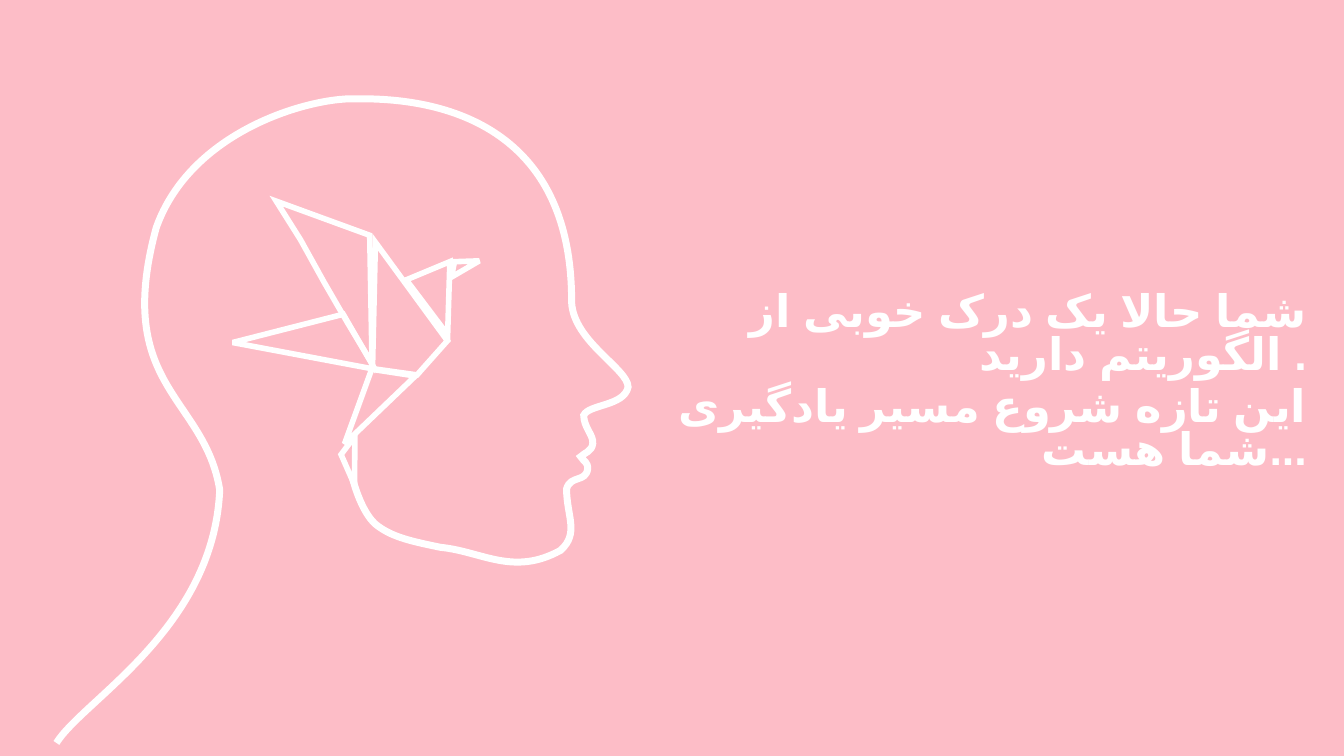
from dataclasses import dataclass
from math import cos, radians, sin

from lxml.etree import SubElement
from pptx import Presentation
from pptx.dml.color import RGBColor as Rgb
from pptx.enum.lang import MSO_LANGUAGE_ID as Language
from pptx.enum.text import MSO_ANCHOR as Anchor, PP_ALIGN as Align
from pptx.oxml.ns import qn
from pptx.util import Inches, Pt

# Slide grid: 1333 columns by 750 rows of square cells
CELL = Inches(0.01)
COLUMNS, ROWS = 1333, 750


@dataclass(frozen=True)
class Theme:
    pink: Rgb = Rgb(0xFD, 0xBD, 0xC7)
    white: Rgb = Rgb(0xFF, 0xFF, 0xFF)
    font: str = "Arial"
    message_size: Pt = Pt(32)
    message_gap: Pt = Pt(6.4)
    bird_stroke: Pt = Pt(4)
    head_stroke: Pt = Pt(5)


THEME = Theme()

# Boxes: left column, top row, columns, rows
HEAD_BOX = (56, 98, 567, 640)
BIRD_BOX = (231, 200, 245, 281)
MESSAGE_BOX = (627, 293, 679, 175)

# Head outline: a start, then two controls and an end for each curve
HEAD_START = (294, 377)
HEAD_CURVES = [
    ((294, 378), (303, 413), (319, 424)),    # jaw
    ((334, 435), (352, 439), (381, 445)),
    ((422, 449), (453, 474), (500, 448)),    # chin
    ((519, 431), (506, 414), (506, 387)),
    ((510, 373), (525, 381), (527, 367)),    # lips
    ((527, 360), (523, 360), (520, 355)),
    ((524, 351), (531, 350), (532, 342)),
    ((533, 334), (523, 326), (523, 314)),
    ((528, 303), (563, 305), (567, 286)),    # nose
    ((567, 268), (513, 241), (511, 202)),
    ((512, -3), (334, 0), (296, 0)),         # forehead
    ((250, -1), (133, 32), (99, 128)),       # crown
    ((56, 286), (147, 295), (162, 388)),     # nape
    ((156, 526), (27, 596), (0, 639)),       # back
]

# Folds of the paper bird, from back to front: tilt in degrees, corners
BIRD_FOLDS = [
    (322.2, [(121, 233), (120, 281), (107, 251)]),             # tail tip
    (325.7, [(111, 240), (138, 166), (181, 173)]),             # tail
    (331.6, [(220, 59), (245, 59), (217, 75)]),                # beak
    (326.3, [(172, 78), (215, 60), (213, 132)]),               # neck
    (320, [(0, 140), (109, 112), (141, 166)]),                 # lower wing
    (325.7, [(183, 172), (213, 138), (141, 40), (139, 166)]),  # body
    (323.9, [(136, 33), (43, 0), (67, 38), (91, 80), (114, 121), (138, 160)]),  # upper wing
]

MESSAGE = [
    "شما حالا یک درک خوبی از الگوریتم دارید .",
    "این تازه شروع مسیر یادگیری شما هست...",
]


def draw_outline(slide, box, points, stroke, close):
    """Draw an unfilled white outline through points counted from the box corner."""
    left, top, _, _ = box
    builder = slide.shapes.build_freeform(*points[0], scale=CELL)
    builder.add_line_segments(points[1:], close=close)
    outline = builder.convert_to_shape(left * CELL, top * CELL)
    outline.shadow.inherit = False
    outline.fill.background()
    outline.line.color.rgb = THEME.white
    outline.line.width = stroke
    SubElement(outline.line._get_or_add_ln(), qn("a:miter"), lim="800000")
    return outline


def bend_segments(outline):
    """Turn every three straight segments into one cubic curve."""
    segments = list(outline._element.iter(qn("a:lnTo")))
    for first in range(0, len(segments), 3):
        trio = segments[first:first + 3]
        contour = trio[0].getparent()
        curve = SubElement(contour, qn("a:cubicBezTo"))
        for segment in trio:
            curve.append(segment[0])
            contour.remove(segment)


def turn(point, degrees):
    """Turn a point clockwise about the corner of its box."""
    x, y = point
    c, s = cos(radians(degrees)), sin(radians(degrees))
    return x * c - y * s, x * s + y * c


def draw_bird(slide, box):
    left, top = box[0] * CELL, box[1] * CELL
    for tilt, corners in BIRD_FOLDS:
        upright = [turn(corner, -tilt) for corner in corners]
        fold = draw_outline(slide, box, upright, THEME.bird_stroke, close=True)
        # Carry the centre along with the tilt, so that the corners land in place
        half_width, half_height = fold.width / 2, fold.height / 2
        x, y = turn((fold.left + half_width - left, fold.top + half_height - top), tilt)
        fold.left = round(left + x - half_width)
        fold.top = round(top + y - half_height)
        fold.rotation = tilt


def draw_head(slide, box):
    points = [HEAD_START] + [point for curve in HEAD_CURVES for point in curve]
    bend_segments(draw_outline(slide, box, points, THEME.head_stroke, close=False))


def write_message(slide, box):
    frame = slide.shapes.add_textbox(*(cells * CELL for cells in box)).text_frame
    frame.word_wrap = True
    frame.vertical_anchor = Anchor.MIDDLE
    frame.text = "\n".join(MESSAGE)
    for sentence in frame.paragraphs:
        sentence.alignment = Align.RIGHT
        sentence.line_spacing = 0.8
        sentence.space_before = THEME.message_gap
        font = sentence.font
        font.name, font.size, font.bold = THEME.font, THEME.message_size, True
        font.color.rgb = THEME.white
        # Persian letters take the complex-script typeface
        SubElement(sentence._p.pPr.find(qn("a:defRPr")), qn("a:cs"), typeface=THEME.font)
        sentence.runs[0].font.language_id = Language.FARSI


def build_closing_slide(deck):
    slide = deck.slides.add_slide(deck.slide_layouts[6])
    background = slide.background.fill
    background.solid()
    background.fore_color.rgb = THEME.pink
    draw_bird(slide, BIRD_BOX)
    draw_head(slide, HEAD_BOX)
    write_message(slide, MESSAGE_BOX)


deck = Presentation()
deck.slide_width, deck.slide_height = COLUMNS * CELL, ROWS * CELL
build_closing_slide(deck)
deck.save("out.pptx")
